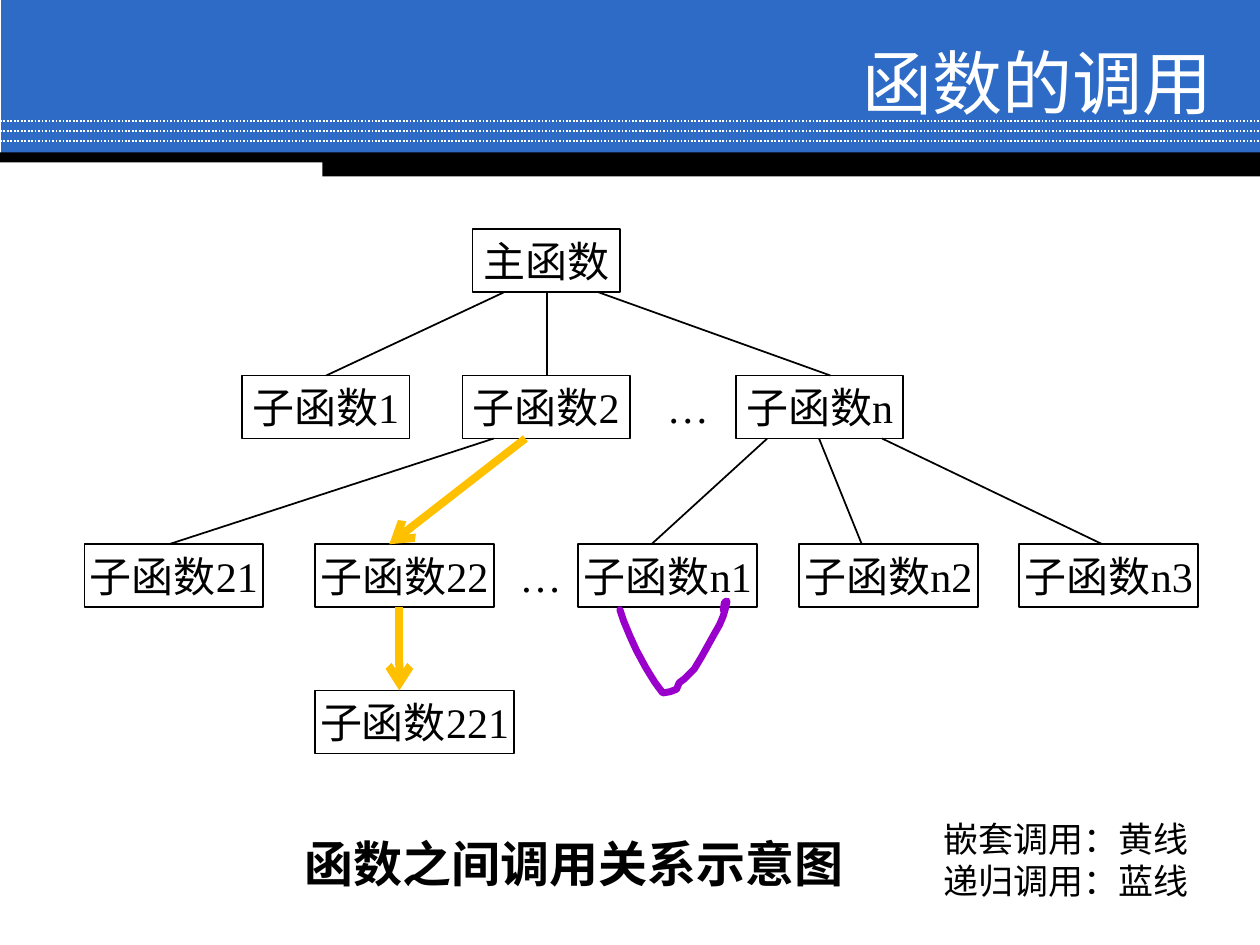
from lxml import etree
from pptx import Presentation
from pptx.dml.color import RGBColor
from pptx.enum.dml import MSO_LINE
from pptx.enum.shapes import MSO_CONNECTOR, MSO_SHAPE
from pptx.enum.text import MSO_ANCHOR, PP_ALIGN
from pptx.oxml.ns import qn
from pptx.util import Inches, Pt

RECT = MSO_SHAPE.RECTANGLE
STRAIGHT = MSO_CONNECTOR.STRAIGHT
DOTTED = MSO_LINE.ROUND_DOT
LEFT, CENTER, RIGHT = PP_ALIGN.LEFT, PP_ALIGN.CENTER, PP_ALIGN.RIGHT
TOP, MIDDLE = MSO_ANCHOR.TOP, MSO_ANCHOR.MIDDLE

BLACK, WHITE, BLUE, YELLOW, PURPLE = "000000", "FFFFFF", "2D6BC7", "FFC000", "9900CC"
SERIF, SANS, CJK = "Times New Roman", "Arial", "Noto Sans CJK SC"

BANDS = [
    ((0.01, 0, 9.99, 1.23), BLUE),
    ((0, 1.21, 10, 0.08), BLACK),
    ((2.56, 1.24, 7.44, 0.16), BLACK),
]
DOTTED_RULES = [0.96, 1.04, 1.12]

NODE_HEIGHT = 0.5
LEVEL_TOPS = [1.82, 2.98, 4.32, 5.48]
LEVELS = [
    (1.17, [("主函数", 3.75)]),
    (1.33, [("子函数1", 1.92), ("子函数2", 3.67), ("子函数n", 5.84)]),
    (1.42, [("子函数21", 0.67), ("子函数22", 2.5), ("子函数n1", 4.59),
            ("子函数n2", 6.34), ("子函数n3", 8.09)]),
    (1.58, [("子函数221", 2.5)]),
]
ELLIPSES = [(1, 5.17), (2, 4)]
PLAIN_CALLS = [
    (0, 4.34, 4.34), (0, 4, 2.59), (0, 4.75, 6.59),
    (1, 3.92, 1.34), (1, 6.09, 5.17), (1, 6.5, 6.84), (1, 7, 8.75),
]
NESTED_CALLS = [(1, 4.17, 3.09), (2, 3.17, 3.17)]
RECURSIVE_CALL = [
    (4.92, 4.84), (4.95, 4.93), (5, 5.05), (5.05, 5.16), (5.12, 5.29), (5.15, 5.34),
    (5.2, 5.42), (5.26, 5.5), (5.32, 5.49), (5.37, 5.47), (5.39, 5.42), (5.43, 5.39),
    (5.48, 5.34), (5.51, 5.31), (5.57, 5.21), (5.67, 5.03), (5.71, 4.96), (5.74, 4.89),
    (5.76, 4.82), (5.77, 4.77), (5.75, 4.78), (5.74, 4.84),
]

TITLE = "函数的调用"
CAPTION = "函数之间调用关系示意图"
LEGEND = ["嵌套调用：黄线", "递归调用：蓝线"]


def color(value):
    return RGBColor.from_string(value)


def add_band(box, fill):
    band = slide.shapes.add_shape(RECT, *map(Inches, box))
    band.shadow.inherit = False
    band.fill.solid()
    band.fill.fore_color.rgb = color(fill)
    band.line.fill.background()


def write(shape, lines, size, font, align=CENTER, anchor=MIDDLE, ink=BLACK, bold=False, wrap=True):
    frame = shape.text_frame
    frame.word_wrap = wrap
    frame.vertical_anchor = anchor
    frame.text = "\n".join(lines)
    for paragraph in frame.paragraphs:
        paragraph.alignment = align
        paragraph.font.size = Pt(size)
        paragraph.font.name = font
        paragraph.font.bold = bold
        paragraph.font.color.rgb = color(ink)


def add_text(box, lines, size, font, **style):
    write(slide.shapes.add_textbox(*map(Inches, box)), lines, size, font, **style)


def add_node(label, left, top, width):
    node = slide.shapes.add_shape(RECT, *map(Inches, (left, top, width, NODE_HEIGHT)))
    node.shadow.inherit = False
    node.fill.background()
    node.line.color.rgb = color(BLACK)
    node.line.width = Pt(1)
    write(node, [label], 24, SERIF, wrap=False)


def add_line(start, end, ink, width, dash=None, arrow=False):
    line = slide.shapes.add_connector(STRAIGHT, *map(Inches, (*start, *end)))
    line.line.color.rgb = color(ink)
    line.line.width = Pt(width)
    if dash:
        line.line.dash_style = dash
    if arrow:
        etree.SubElement(line.line._get_or_add_ln(), qn("a:tailEnd"), type="arrow")
    etree.SubElement(line._element.spPr, qn("a:effectLst"))


def add_call(level, start_x, end_x, ink, width, arrow=False):
    start = (start_x, LEVEL_TOPS[level] + NODE_HEIGHT)
    add_line(start, (end_x, LEVEL_TOPS[level + 1]), ink, width, arrow=arrow)


def add_loop(points):
    start, *rest = [(Inches(x), Inches(y)) for x, y in points]
    builder = slide.shapes.build_freeform(*start)
    builder.add_line_segments(rest, close=False)
    loop = builder.convert_to_shape()
    loop.shadow.inherit = False
    loop.fill.background()
    loop.line.color.rgb = color(PURPLE)
    loop.line.width = Pt(4)
    outline = loop.line._get_or_add_ln()
    outline.set("cap", "rnd")
    etree.SubElement(outline, qn("a:round"))


prs = Presentation()
prs.slide_width, prs.slide_height = Inches(10), Inches(7.5)
slide = prs.slides.add_slide(prs.slide_layouts[6])

for box, fill in BANDS:
    add_band(box, fill)
for y in DOTTED_RULES:
    add_line((0, y), (10, y), WHITE, 1, dash=DOTTED)

for top, (width, nodes) in zip(LEVEL_TOPS, LEVELS):
    for label, left in nodes:
        add_node(label, left, top, width)
for level, left in ELLIPSES:
    add_text((left, LEVEL_TOPS[level], 0.58, NODE_HEIGHT), ["…"], 24, SERIF)
for call in PLAIN_CALLS:
    add_call(*call, BLACK, 1)
for call in NESTED_CALLS:
    add_call(*call, YELLOW, 4.5, arrow=True)
add_loop(RECURSIVE_CALL)

add_text((2.8, 0.36, 6.92, 0.58), [TITLE], 40, SANS, align=RIGHT, ink=WHITE)
add_text((1.43, 6.57, 6.25, 0.57), [CAPTION], 28, CJK, anchor=TOP, bold=True)
add_text((7.39, 6.44, 2.21, 0.77), LEGEND, 20, CJK, align=LEFT, anchor=TOP)

prs.save("out.pptx")
